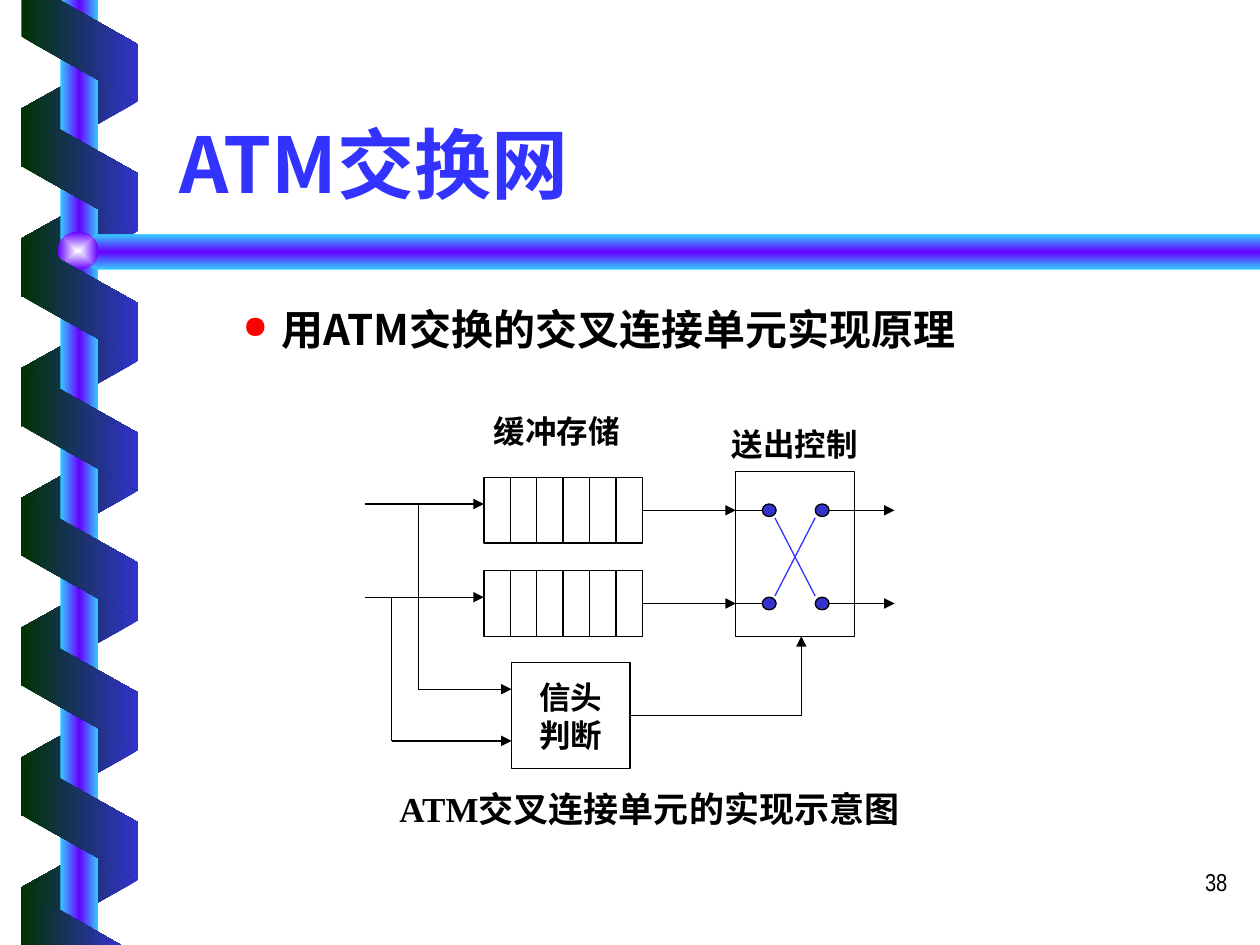
"""Build the ATM switching network slide with its spiral ribbon and diagram."""
from lxml import etree
from pptx import Presentation
from pptx.dml.color import RGBColor
from pptx.enum.shapes import MSO_CONNECTOR, MSO_SHAPE
from pptx.enum.text import MSO_ANCHOR, PP_ALIGN
from pptx.oxml import parse_xml
from pptx.oxml.ns import qn
from pptx.util import Inches, Pt

STRAIGHT = MSO_CONNECTOR.STRAIGHT
RECT, OVAL, RIBBON = MSO_SHAPE.RECTANGLE, MSO_SHAPE.OVAL, MSO_SHAPE.PARALLELOGRAM
LEFT, CENTER, RIGHT = PP_ALIGN.LEFT, PP_ALIGN.CENTER, PP_ALIGN.RIGHT
TOP, MIDDLE, BOTTOM = MSO_ANCHOR.TOP, MSO_ANCHOR.MIDDLE, MSO_ANCHOR.BOTTOM
BLACK = RGBColor(0x00, 0x00, 0x00)
RED = RGBColor(0xFF, 0x00, 0x00)
BLUE = RGBColor(0x33, 0x33, 0xFF)
NAVY = RGBColor(0x33, 0x33, 0xCC)
GREEN = RGBColor(0x00, 0x33, 0x00)
SKY = RGBColor(0x33, 0xCC, 0xFF)
VIOLET = RGBColor(0x66, 0x00, 0xFF)
PALE = RGBColor(0xFE, 0xFF, 0xFF)
CJK, SERIF = "Noto Sans CJK SC", "Times New Roman"
A_NS = "http://schemas.openxmlformats.org/drawingml/2006/main"
LINEAR = '<a:lin ang="{}" scaled="0"/>'
RADIAL = '<a:path path="rect"><a:fillToRect l="50000" t="50000" r="50000" b="50000"/></a:path>'


def add_text(sp, text, size=18, font=SERIF, color=BLACK, bold=True, align=CENTER,
             anchor=TOP, margin=0.1, wrap=True):
    tf = sp.text_frame
    tf.word_wrap = wrap
    tf.vertical_anchor = anchor
    tf.margin_left = tf.margin_right = Inches(margin)
    for i, line in enumerate(text.split("\n")):
        p = tf.add_paragraph() if i else tf.paragraphs[0]
        p.alignment = align
        r = p.add_run()
        r.text = line
        r.font.size, r.font.name, r.font.bold = Pt(size), font, bold
        r.font.color.rgb = color
        etree.SubElement(r.font._element, qn("a:ea"), typeface=CJK)
    return tf.paragraphs[0]


def shade(sp, colors, direction):
    sp.shadow.inherit = False
    sp.line.fill.background()
    sp.fill.gradient()
    stops = "".join(
        f'<a:gs pos="{100000 * i // (len(colors) - 1)}"><a:srgbClr val="{c}"/></a:gs>'
        for i, c in enumerate(colors))
    old = sp._element.spPr.find(qn("a:gradFill"))
    new = parse_xml(f'<a:gradFill xmlns:a="{A_NS}" rotWithShape="0">'
                    f'<a:gsLst>{stops}</a:gsLst>{direction}</a:gradFill>')
    old.getparent().replace(old, new)


prs = Presentation()
prs.slide_width, prs.slide_height = Inches(10), Inches(7.5)
s = prs.slides.add_slide(prs.slide_layouts[6])
shapes = s.shapes
ACROSS, DOWN = LINEAR.format(0), LINEAR.format(5400000)

# ribbon turns behind the rod
for i in range(7):
    sp = shapes.add_shape(RIBBON, Inches(0.14), Inches(0.37 + 1.03 * i), Inches(0.98), Inches(0.93))
    sp.adjustments[0] = 0.56
    sp.rotation = 90
    sp._element.spPr.find(qn("a:xfrm")).set("flipH", "1")
    shade(sp, [NAVY, GREEN], ACROSS)

sp = shapes.add_shape(RECT, Inches(0.48), 0, Inches(0.3), Inches(7.5))
shade(sp, [SKY, VIOLET, SKY], ACROSS)

bar = [(10, 1.86), (0.76, 1.86), (0.6, 2), (0.76, 2.14), (10, 2.14)]
ribbon_top = [(0.17, 0), (0.17, 0.29), (1.09, 0.81), (1.09, 0.35), (0.47, 0)]
ribbon_end = [(0.96, 7.5), (0.17, 7.05), (0.17, 7.5)]
for points, colors, direction in [(bar, [SKY, VIOLET, SKY], DOWN),
                                  (ribbon_top, [GREEN, NAVY], ACROSS),
                                  (ribbon_end, [GREEN, NAVY], ACROSS)]:
    points = [(Inches(x), Inches(y)) for x, y in points]
    fb = shapes.build_freeform(*points[0])
    fb.add_line_segments(points[1:], close=True)
    shade(fb.convert_to_shape(), colors, direction)

sp = shapes.add_shape(OVAL, Inches(0.46), Inches(1.84), Inches(0.32), Inches(0.3))
shade(sp, [PALE, VIOLET], RADIAL)

for i in range(6):
    sp = shapes.add_shape(RIBBON, Inches(0.14), Inches(0.88 + 1.03 * i), Inches(0.98), Inches(0.93))
    sp.adjustments[0] = 0.56
    sp.rotation = 270
    shade(sp, [GREEN, NAVY], ACROSS)

# name, box and format of each text
texts = [
    ("38", (7.76, 6.83, 2.08, 0.5), dict(size=14, font="Arial Narrow", bold=False, align=RIGHT)),
    ("ATM交换网", (1.33, 0.46, 8.5, 1.25),
     dict(size=44, font=CJK, color=BLUE, align=LEFT, anchor=BOTTOM)),
    ("ATM交叉连接单元的实现示意图", (2.48, 6.2, 5.35, 0.44), dict(size=20)),
    ("缓冲存储", (3.74, 3.22, 1.36, 0.4), dict(anchor=MIDDLE, margin=0)),
    ("送出控制", (5.63, 3.32, 1.36, 0.4), dict(anchor=MIDDLE, margin=0)),
]
for text, box, fmt in texts:
    add_text(shapes.add_textbox(*map(Inches, box)), text, **fmt)

sp = shapes.add_textbox(Inches(1.33), Inches(2.24), Inches(8.5), Inches(0.68))
p = add_text(sp, "用ATM交换的交叉连接单元实现原理", size=24, font=CJK, align=LEFT)
p.line_spacing = 1.3
pPr = p._p.get_or_add_pPr()
pPr.set("marL", str(Inches(0.81)))
pPr.set("indent", str(Inches(-0.31)))
etree.SubElement(etree.SubElement(pPr, qn("a:buClr")), qn("a:srgbClr"), val=str(RED))
etree.SubElement(pPr, qn("a:buSzPct"), val="75000")
etree.SubElement(pPr, qn("a:buChar"), char="●")

ROWS = [0, 0.74]
cells = [(RECT, 3.84 + 0.21 * i, 3.79 + y, 0.21, 0.52) for y in ROWS for i in range(6)]
dots = [(OVAL, x, 4 + y, 0.11, 0.1) for y in ROWS for x in (6.05, 6.47)]
for kind, *box in cells + dots + [(RECT, 5.84, 3.74, 0.94, 1.31), (RECT, 4.06, 5.26, 0.94, 0.84)]:
    sp = shapes.add_shape(kind, *map(Inches, box))
    sp.shadow.inherit = False
    sp.line.color.rgb, sp.line.width = BLACK, Pt(0.75)
    if kind == OVAL:
        sp.fill.solid()
        sp.fill.fore_color.rgb = NAVY
    else:
        sp.fill.background()
add_text(sp, "信头\n判断", anchor=MIDDLE, wrap=False)

arrows = [(3.32, 5.47, 4.06, 5.47), (3.11, 5.88, 4.06, 5.88), (6.36, 5.68, 6.36, 5.05)]
plain = [(3.32, 4, 3.32, 5.47), (3.11, 4.74, 3.11, 5.88), (5, 5.68, 6.36, 5.68)]
for y in ROWS:
    arrows += [(2.9, 4 + y, 3.84, 4 + y), (5.1, 4.05 + y, 5.84, 4.05 + y),
               (6.57, 4.05 + y, 7.1, 4.05 + y)]
    plain.append((6.05, 4.05 + y, 5.84, 4.05 + y))
crossing = [(6.15, 4.11, 6.47, 4.73), (6.15, 4.73, 6.47, 4.11)]
for lines, color, head in [(arrows, BLACK, True), (plain, BLACK, False), (crossing, BLUE, False)]:
    for ends in lines:
        sp = shapes.add_connector(STRAIGHT, *map(Inches, ends))
        sp.line.color.rgb, sp.line.width = color, Pt(0.75)
        if head:
            etree.SubElement(sp.line._get_or_add_ln(), qn("a:tailEnd"), type="triangle")
        etree.SubElement(sp._element.spPr, qn("a:effectLst"))

prs.save("out.pptx")
